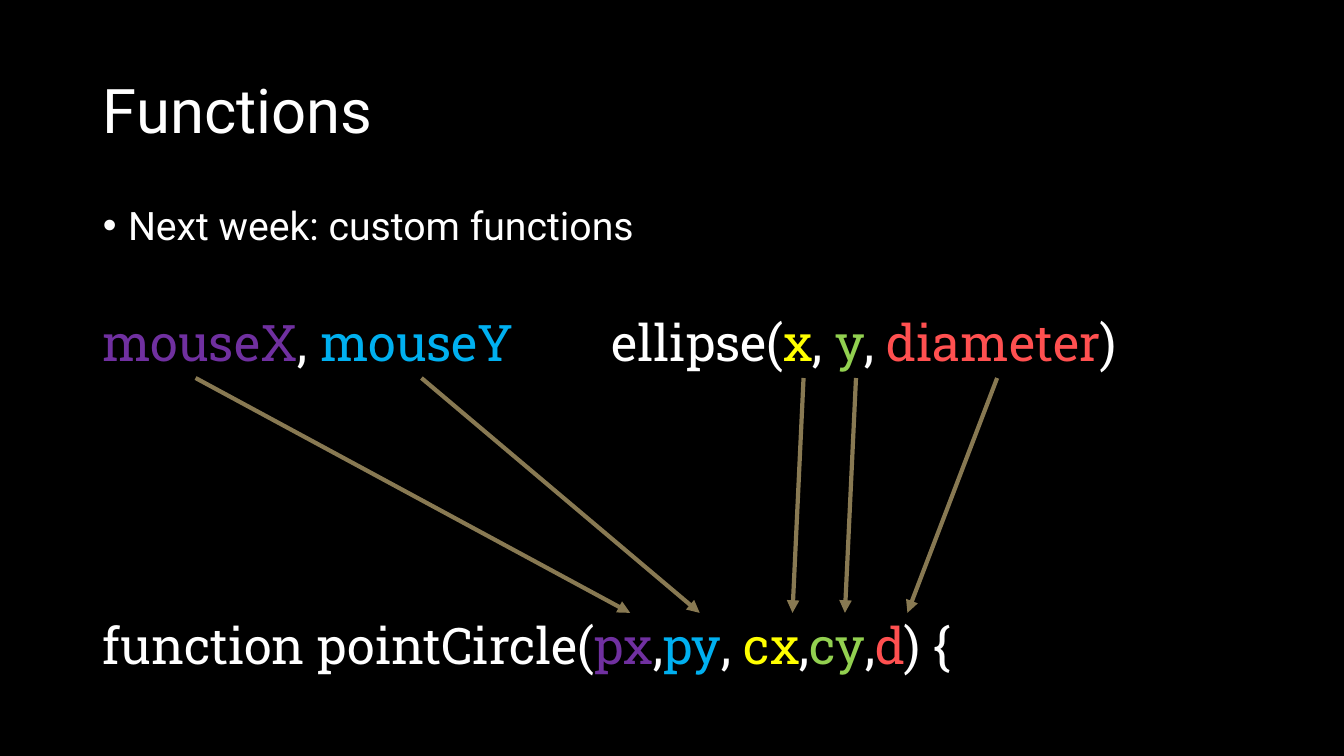
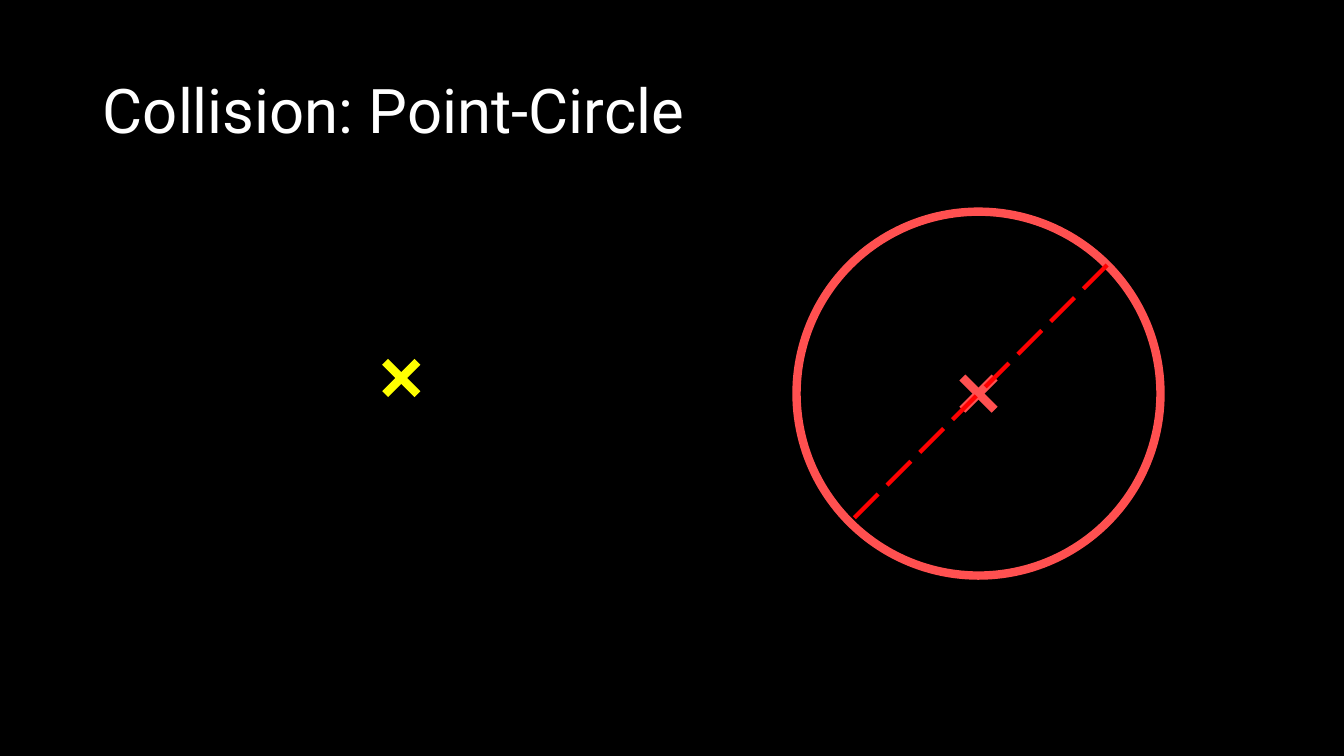
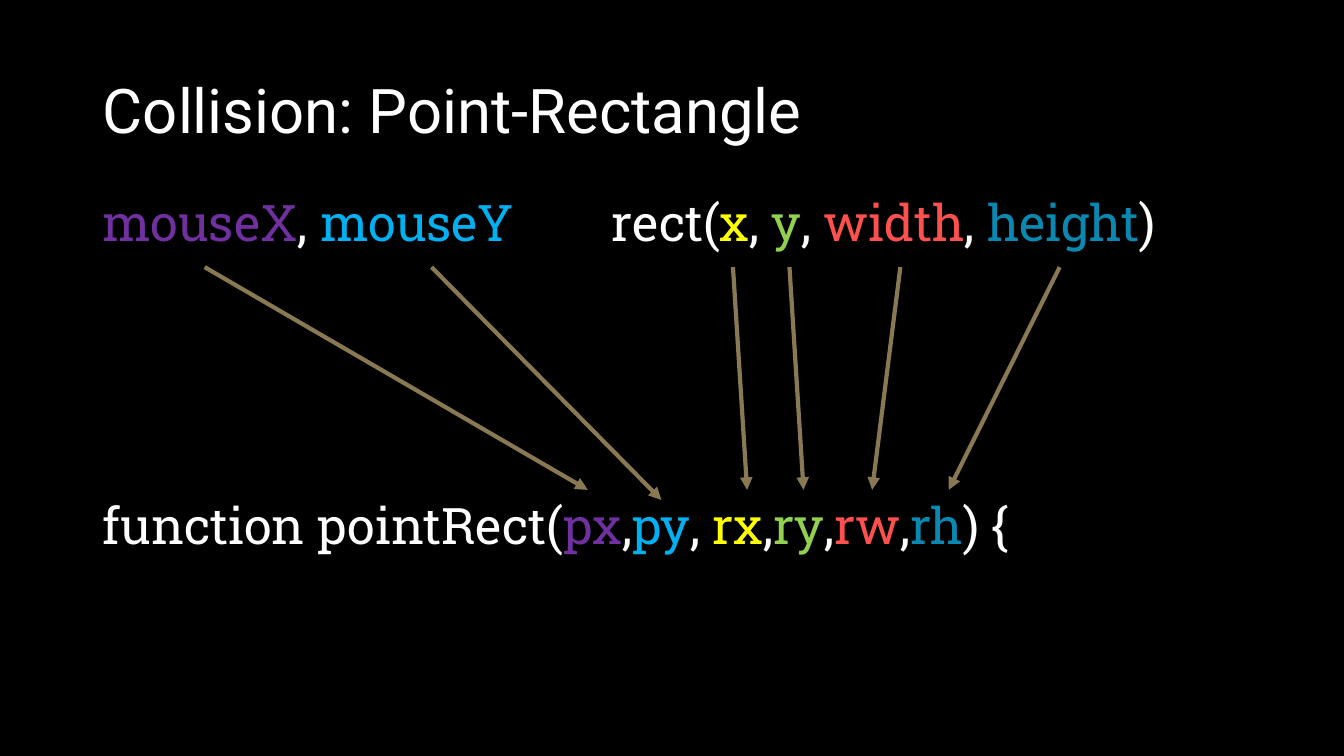
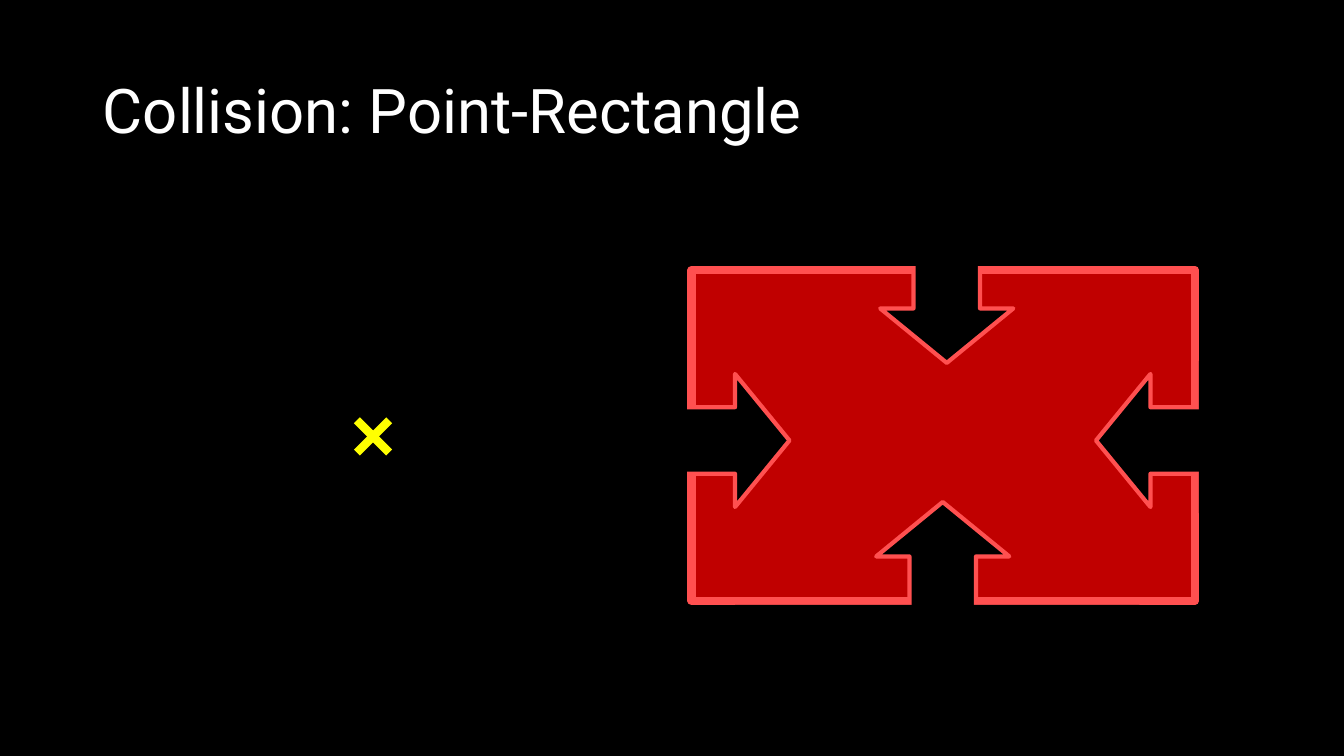
from itertools import chain

from lxml import etree
from pptx import Presentation
from pptx.dml.color import RGBColor
from pptx.enum.dml import MSO_LINE
from pptx.enum.shapes import MSO_CONNECTOR, MSO_SHAPE
from pptx.enum.text import MSO_ANCHOR, PP_ALIGN
from pptx.oxml.ns import qn
from pptx.util import Inches, Pt

STRAIGHT = MSO_CONNECTOR.STRAIGHT
OVAL, RECTANGLE, RIGHT_ARROW = MSO_SHAPE.OVAL, MSO_SHAPE.RECTANGLE, MSO_SHAPE.RIGHT_ARROW
MIDDLE, TOP = MSO_ANCHOR.MIDDLE, MSO_ANCHOR.TOP
LEFT = PP_ALIGN.LEFT
LONG_DASH = MSO_LINE.LONG_DASH

BODY_LAYOUT, TITLE_LAYOUT = 1, 5
SANS, SLAB = "Roboto", "Roboto Slab"
BLACK, WHITE, TAN = "000000", "FFFFFF", "887952"
PURPLE, BLUE, YELLOW, GREEN = "7030A0", "00B0F0", "FFFF00", "92D050"
CORAL, TEAL, RED, DARK_RED = "FF5050", "0989B1", "FF0000", "C00000"

MARGIN, CONTENT_WIDTH = 0.92, 11.5
TITLE_BOX = (MARGIN, 0.4, CONTENT_WIDTH, 1.45)
CODE_HEIGHT = 0.76
CALL_LEFT = 5.05  # from the left edge of the code region
DECLARATION_DROP = 3.0


def rgb(hex_string):
    return RGBColor.from_string(hex_string)


def place(shape, box):
    shape.left, shape.top, shape.width, shape.height = map(Inches, box)


def write(frame, runs, size, font=SANS, anchor=TOP, spacing=None, bullet=None):
    """Fill a frame with one paragraph of (text, colour) runs."""
    frame.word_wrap = True
    frame.vertical_anchor = anchor
    paragraph = frame.paragraphs[0]
    paragraph.alignment = LEFT
    paragraph.space_before = Pt(0)
    if spacing:
        paragraph.line_spacing = spacing
    if bullet:
        properties = paragraph._p.get_or_add_pPr()
        properties.set("marL", str(Inches(0.25)))
        properties.set("indent", str(-Inches(0.25)))
        etree.SubElement(properties, qn("a:buFont"), typeface="Arial")
        etree.SubElement(properties, qn("a:buChar"), char=bullet)
    for text, color in runs:
        run = paragraph.add_run()
        run.text = text
        run.font.name = font
        run.font.size = Pt(size)
        run.font.color.rgb = rgb(color)


def add_line(shapes, start, end, color, width, dash=None, arrow=False):
    line = shapes.add_connector(STRAIGHT, *map(Inches, (*start, *end)))
    line.line.color.rgb = rgb(color)
    line.line.width = Pt(width)
    if dash:
        line.line.dash_style = dash
    if arrow:
        etree.SubElement(line.line._ln, qn("a:tailEnd"), type="triangle")
    etree.SubElement(line._element.spPr, qn("a:effectLst"))


def add_outline(slide, kind, box, fill, color, width, rotation=0):
    shape = slide.shapes.add_shape(kind, *map(Inches, box))
    shape.shadow.inherit = False
    if fill:
        shape.fill.solid()
        shape.fill.fore_color.rgb = rgb(fill)
    else:
        shape.fill.background()
    shape.line.color.rgb = rgb(color)
    shape.line.width = Pt(width)
    shape.rotation = rotation


def add_titled_slide(prs, title, layout=TITLE_LAYOUT):
    slide = prs.slides.add_slide(prs.slide_layouts[layout])
    place(slide.shapes.title, TITLE_BOX)
    write(slide.shapes.title.text_frame, [(title, WHITE)], 44, anchor=MIDDLE, spacing=0.9)
    return slide


def add_code(slide, left, top, width, runs):
    box = slide.shapes.add_textbox(*map(Inches, (left, top, width, CODE_HEIGHT)))
    write(box.text_frame, runs, 36, font=SLAB)


def joined(names, separator):
    """Put a white separator between coloured names."""
    return list(chain.from_iterable([(separator, WHITE), name] for name in names))[1:]


def add_mapping(slide, left, top, call, declaration, point, figure, start_drop):
    """Show how arguments reach parameters.

    Each entry is (argument, parameter, colour, arrow start x, arrow end x, arrow end y),
    with the arrow measured from the corner of the region.
    """
    def arguments(entries):
        return joined([(entry[0], entry[2]) for entry in entries], ", ")

    def parameters(entries):
        return joined([(entry[1], entry[2]) for entry in entries], ",")

    add_code(slide, left, top, CALL_LEFT, arguments(point))
    add_code(slide, left + CALL_LEFT, top, CONTENT_WIDTH - CALL_LEFT,
             [(call + "(", WHITE), *arguments(figure), (")", WHITE)])
    add_code(slide, left, top + DECLARATION_DROP, CONTENT_WIDTH,
             [(f"function {declaration}(", WHITE), *parameters(point), (", ", WHITE),
              *parameters(figure), (") {", WHITE)])
    for *_, start_x, end_x, end_y in point + figure:
        add_line(slide.shapes, (left + start_x, top + start_drop),
                 (left + end_x, top + end_y), TAN, 3, arrow=True)


def add_cross(slide, center_x, center_y, color, half=0.16):
    group = slide.shapes.add_group_shape()
    for side in (-half, half):
        add_line(group.shapes, (center_x + side, center_y - half),
                 (center_x - side, center_y + half), color, 6)


def add_circle(slide, left, top, diameter):
    """Circle with its centre and a dashed diameter at 45 degrees."""
    radius = diameter / 2
    x, y = left + radius, top + radius
    reach = radius * 0.5 ** 0.5
    add_outline(slide, OVAL, (left, top, diameter, diameter), None, CORAL, 6)
    add_cross(slide, x, y, CORAL)
    add_line(slide.shapes, (x + reach, y - reach), (x - reach, y + reach), RED, 3, dash=LONG_DASH)


def add_notched_rectangle(slide, left, top, width, height):
    """Rectangle with an arrow entering each side; black covers trim the arrow tails."""
    add_outline(slide, RECTANGLE, (left, top, width, height), DARK_RED, CORAL, 6)
    length, breadth = 1.08, 1.32
    for x, y, rotation in ((0.43, 1.69, 0), (2.53, 0.38, 90), (2.49, 2.84, 270), (4.55, 1.69, 180)):
        add_outline(slide, RIGHT_ARROW,
                    (left + x - length / 2, top + y - breadth / 2, length, breadth),
                    BLACK, CORAL, 3, rotation)
    wide, tall = (4.01, 0.86), (0.7, 1.51)
    for x, y, size in ((0.52, -0.91, wide), (0.43, 3.32, wide),
                       (-0.75, 0.96, tall), (5.03, 0.9, tall)):
        add_outline(slide, RECTANGLE, (left + x, top + y, *size), BLACK, BLACK, 0.25)


def build_functions(prs):
    slide = add_titled_slide(prs, "Functions", BODY_LAYOUT)
    body = slide.placeholders[1]
    place(body, (MARGIN, 2, CONTENT_WIDTH, 4.76))
    write(body.text_frame, [("Next week: custom functions", WHITE)], 28, spacing=0.9, bullet="•")
    add_mapping(slide, MARGIN, 3.04, "ellipse", "pointCircle",
                [("mouseX", "px", PURPLE, 1.02, 5.33, 3.04),
                 ("mouseY", "py", BLUE, 3.26, 6.02, 3.04)],
                [("x", "cx", YELLOW, 7.05, 6.94, 3.04),
                 ("y", "cy", GREEN, 7.57, 7.46, 3.04),
                 ("diameter", "d", CORAL, 8.97, 8.08, 3.04)], 0.71)


def build_point_circle(prs):
    slide = add_titled_slide(prs, "Collision: Point-Circle")
    add_cross(slide, 3.98, 3.75, YELLOW)
    add_circle(slide, 7.9, 2.1, 3.61)


def build_rectangle_mapping(prs):
    slide = add_titled_slide(prs, "Collision: Point-Rectangle")
    add_mapping(slide, MARGIN, 1.85, "rect", "pointRect",
                [("mouseX", "px", PURPLE, 1.11, 4.91, 3.01),
                 ("mouseY", "py", BLUE, 3.36, 5.64, 3.11)],
                [("x", "rx", YELLOW, 6.35, 6.49, 3.01),
                 ("y", "ry", GREEN, 6.91, 7.05, 3.01),
                 ("width", "rw", CORAL, 8.01, 7.73, 3.01),
                 ("height", "rh", TEAL, 9.59, 8.49, 3.01)], 0.8)


def build_point_rectangle(prs):
    slide = add_titled_slide(prs, "Collision: Point-Rectangle")
    add_notched_rectangle(slide, 6.86, 2.68, 4.99, 3.28)
    add_cross(slide, 3.7, 4.33, YELLOW)


def main():
    prs = Presentation()
    prs.slide_width, prs.slide_height = Inches(13.33), Inches(7.5)
    background = prs.slide_master.background.fill
    background.solid()
    background.fore_color.rgb = rgb(BLACK)
    build_functions(prs)
    build_point_circle(prs)
    build_rectangle_mapping(prs)
    build_point_rectangle(prs)
    prs.save("out.pptx")


if __name__ == "__main__":
    main()
